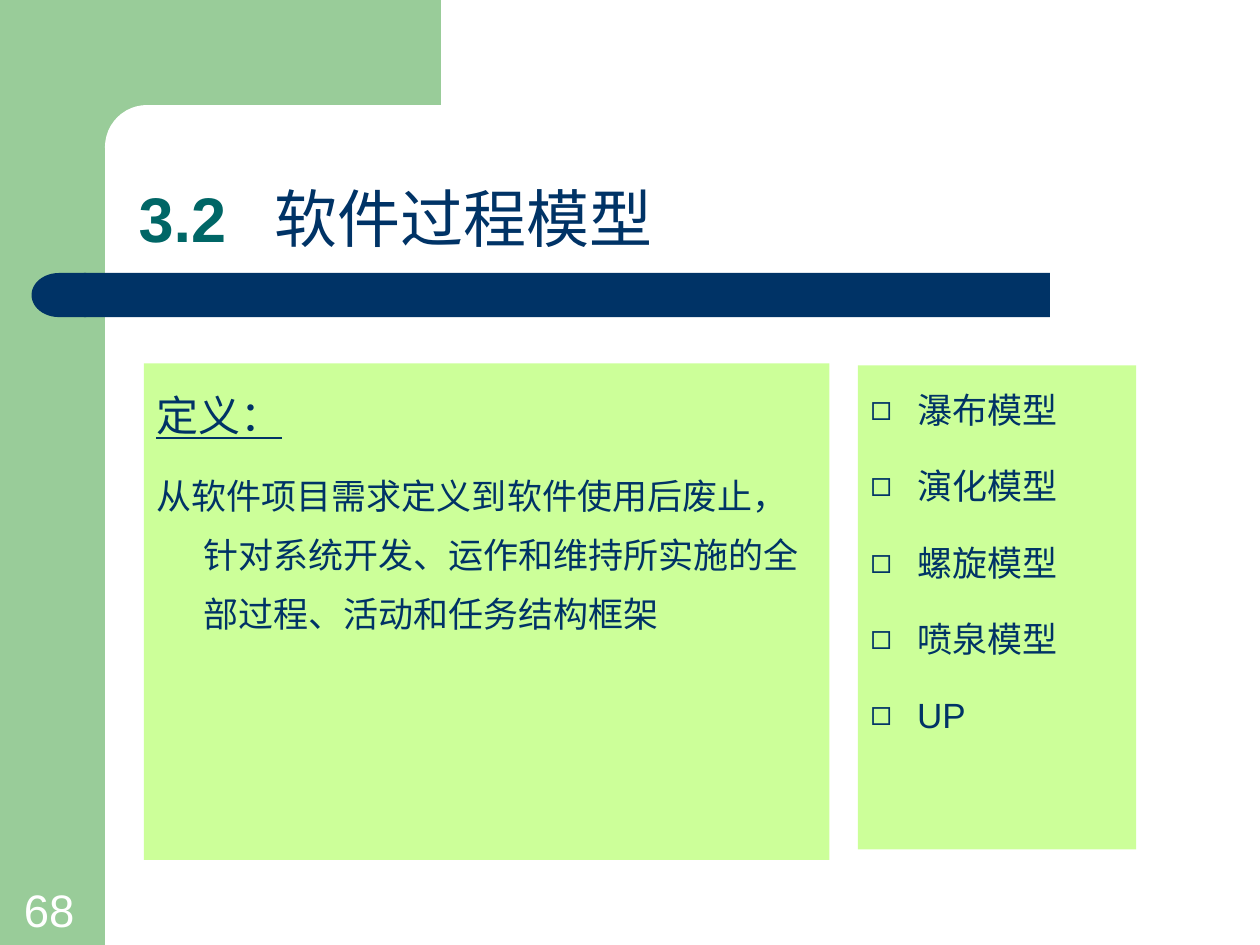
from dataclasses import dataclass
from typing import NamedTuple, Optional

from lxml import etree
from pptx import Presentation
from pptx.dml.color import RGBColor
from pptx.enum.shapes import MSO_SHAPE
from pptx.enum.text import MSO_ANCHOR, MSO_AUTO_SIZE, PP_ALIGN
from pptx.oxml.ns import qn
from pptx.util import Inches, Pt

RECT = MSO_SHAPE.RECTANGLE
ROUNDED = MSO_SHAPE.ROUNDED_RECTANGLE
DELAY = MSO_SHAPE.FLOWCHART_DELAY
LEFT = PP_ALIGN.LEFT
TOP, BOTTOM = MSO_ANCHOR.TOP, MSO_ANCHOR.BOTTOM
NO_FIT = MSO_AUTO_SIZE.NONE

SLIDE_WIDTH, SLIDE_HEIGHT = Inches(10), Inches(7.5)
COLUMNS, ROWS = 12, 9
TWO_CONTENT_LAYOUT = 3


@dataclass(frozen=True)
class Theme:
    font: str = "Arial"
    navy: str = "003366"
    teal: str = "006666"
    sage: str = "99CC99"
    lime: str = "CCFF99"
    white: str = "FFFFFF"
    title_size: int = 36
    number_size: int = 26
    heading_size: int = 24
    body_size: int = 20
    title_spacing: float = 0.9
    body_spacing: float = 1.4
    paragraph_gap: int = 10
    hanging: float = 0.37
    title_tab: float = 1.08


THEME = Theme()


class Cell(NamedTuple):
    """Position and size in grid columns and rows."""
    column: float
    row: float
    columns: float
    rows: float

    def lengths(self) -> tuple:
        across, down = SLIDE_WIDTH / COLUMNS, SLIDE_HEIGHT / ROWS
        return (int(self.column * across), int(self.row * down),
                int(self.columns * across), int(self.rows * down))


class Decoration(NamedTuple):
    preset: int
    cell: Cell
    color: str
    corner: Optional[float] = None
    rotation: int = 0


class Line(NamedTuple):
    text: str
    size: int = THEME.body_size
    underline: bool = False


DECORATIONS = [
    Decoration(RECT, Cell(0, 0, 1, 9), THEME.sage),
    Decoration(RECT, Cell(0.9, 0, 3.3, 1.39), THEME.sage),
    Decoration(ROUNDED, Cell(1, 1, 6.7, 0.8), THEME.white, corner=0.5),
    Decoration(RECT, Cell(0.8, 2.6, 9.2, 0.42), THEME.navy),
    Decoration(DELAY, Cell(0.3, 2.6, 0.52, 0.42), THEME.navy, rotation=180),
]
NUMBER_CELL = Cell(0.11, 8.33, 0.77, 0.65)
TITLE_CELL = Cell(1.2, 1, 10.5, 1.5)
MODELS_CELL = Cell(8.17, 3.48, 2.65, 4.61)
DEFINITION_CELL = Cell(1.37, 3.46, 6.53, 4.73)

MODELS = [Line(name) for name in
          ("瀑布模型", "演化模型", "螺旋模型", "喷泉模型", "UP")]
DEFINITION = [
    Line("定义：", THEME.heading_size, underline=True),
    Line("从软件项目需求定义到软件使用后废止，针对系统开发、运作和维持"
         "所实施的全部过程、活动和任务结构框架"),
]


def draw_decoration(slide, item: Decoration) -> None:
    shape = slide.shapes.add_shape(item.preset, *item.cell.lengths())
    shape.shadow.inherit = False
    shape.fill.solid()
    shape.fill.fore_color.rgb = RGBColor.from_string(item.color)
    shape.line.fill.background()
    shape.rotation = item.rotation
    if item.corner is not None:
        shape.adjustments[0] = item.corner


def add_run(paragraph, text: str, size: int, color: str,
            bold: bool = False, underline: bool = False) -> None:
    run = paragraph.add_run()
    run.text = text
    run.font.name = THEME.font
    run.font.size = Pt(size)
    run.font.bold = bold
    run.font.underline = underline
    run.font.color.rgb = RGBColor.from_string(color)


def place(shape, cell: Cell, anchor):
    """Put a text holder on the grid, in front, and return its text frame."""
    shape.left, shape.top, shape.width, shape.height = cell.lengths()
    shape.element.getparent().append(shape.element)
    frame = shape.text_frame
    frame.word_wrap = True
    frame.auto_size = NO_FIT
    frame.vertical_anchor = anchor
    return frame


def set_bullet(paragraph, bullet: Optional[str]) -> None:
    properties = paragraph._p.get_or_add_pPr()
    properties.set("marL", str(Inches(THEME.hanging)))
    properties.set("indent", str(-Inches(THEME.hanging)))
    if bullet is None:
        etree.SubElement(properties, qn("a:buNone"))
        return
    color = etree.SubElement(properties, qn("a:buClr"))
    etree.SubElement(color, qn("a:srgbClr"), val=THEME.navy)
    etree.SubElement(properties, qn("a:buFont"), typeface=THEME.font)
    etree.SubElement(properties, qn("a:buChar"), char=bullet)


def fill_panel(panel, cell: Cell, lines: list[Line],
               bullet: Optional[str] = None) -> None:
    frame = place(panel, cell, TOP)
    panel.fill.solid()
    panel.fill.fore_color.rgb = RGBColor.from_string(THEME.lime)
    for index, line in enumerate(lines):
        paragraph = frame.add_paragraph() if index else frame.paragraphs[0]
        set_bullet(paragraph, bullet)
        paragraph.alignment = LEFT
        paragraph.line_spacing = THEME.body_spacing
        paragraph.space_before = Pt(THEME.paragraph_gap if index else 0)
        add_run(paragraph, line.text, line.size, THEME.navy,
                underline=line.underline)


def fill_title(title) -> None:
    paragraph = place(title, TITLE_CELL, BOTTOM).paragraphs[0]
    tabs = etree.SubElement(paragraph._p.get_or_add_pPr(), qn("a:tabLst"))
    etree.SubElement(tabs, qn("a:tab"),
                     pos=str(Inches(THEME.title_tab)), algn="l")
    paragraph.alignment = LEFT
    paragraph.line_spacing = THEME.title_spacing
    add_run(paragraph, "3.2\t", THEME.title_size, THEME.teal, bold=True)
    add_run(paragraph, "软件过程模型", THEME.title_size, THEME.navy)


def add_page_number(slide, number: str) -> None:
    box = slide.shapes.add_textbox(*NUMBER_CELL.lengths())
    paragraph = place(box, NUMBER_CELL, BOTTOM).paragraphs[0]
    add_run(paragraph, number, THEME.number_size, THEME.white)


def main() -> None:
    deck = Presentation()
    deck.slide_width, deck.slide_height = SLIDE_WIDTH, SLIDE_HEIGHT
    slide = deck.slides.add_slide(deck.slide_layouts[TWO_CONTENT_LAYOUT])
    title, definition, models = slide.placeholders
    for item in DECORATIONS:
        draw_decoration(slide, item)
    add_page_number(slide, "68")
    fill_title(title)
    fill_panel(models, MODELS_CELL, MODELS, bullet="◻")
    fill_panel(definition, DEFINITION_CELL, DEFINITION)
    deck.save("out.pptx")


if __name__ == "__main__":
    main()
